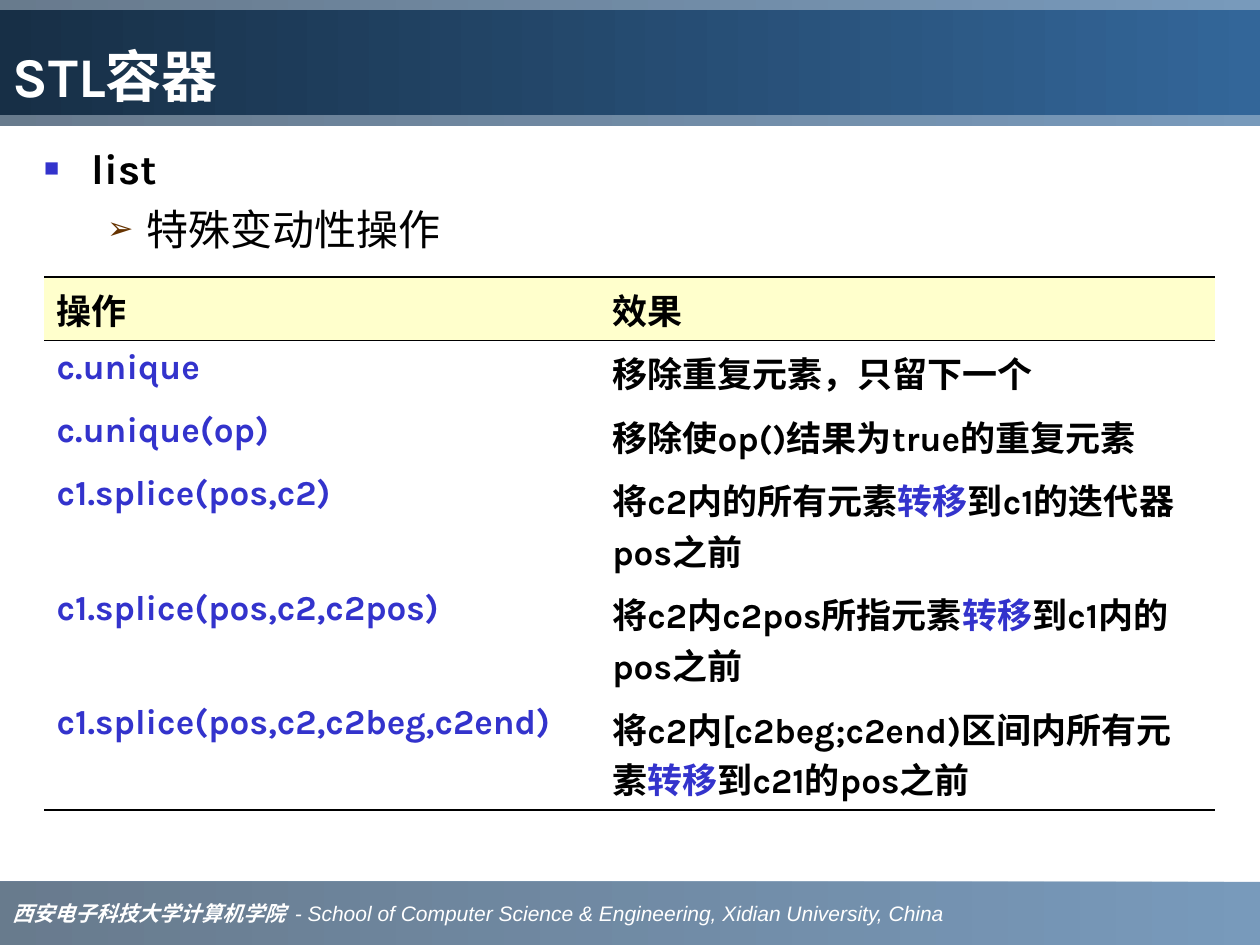
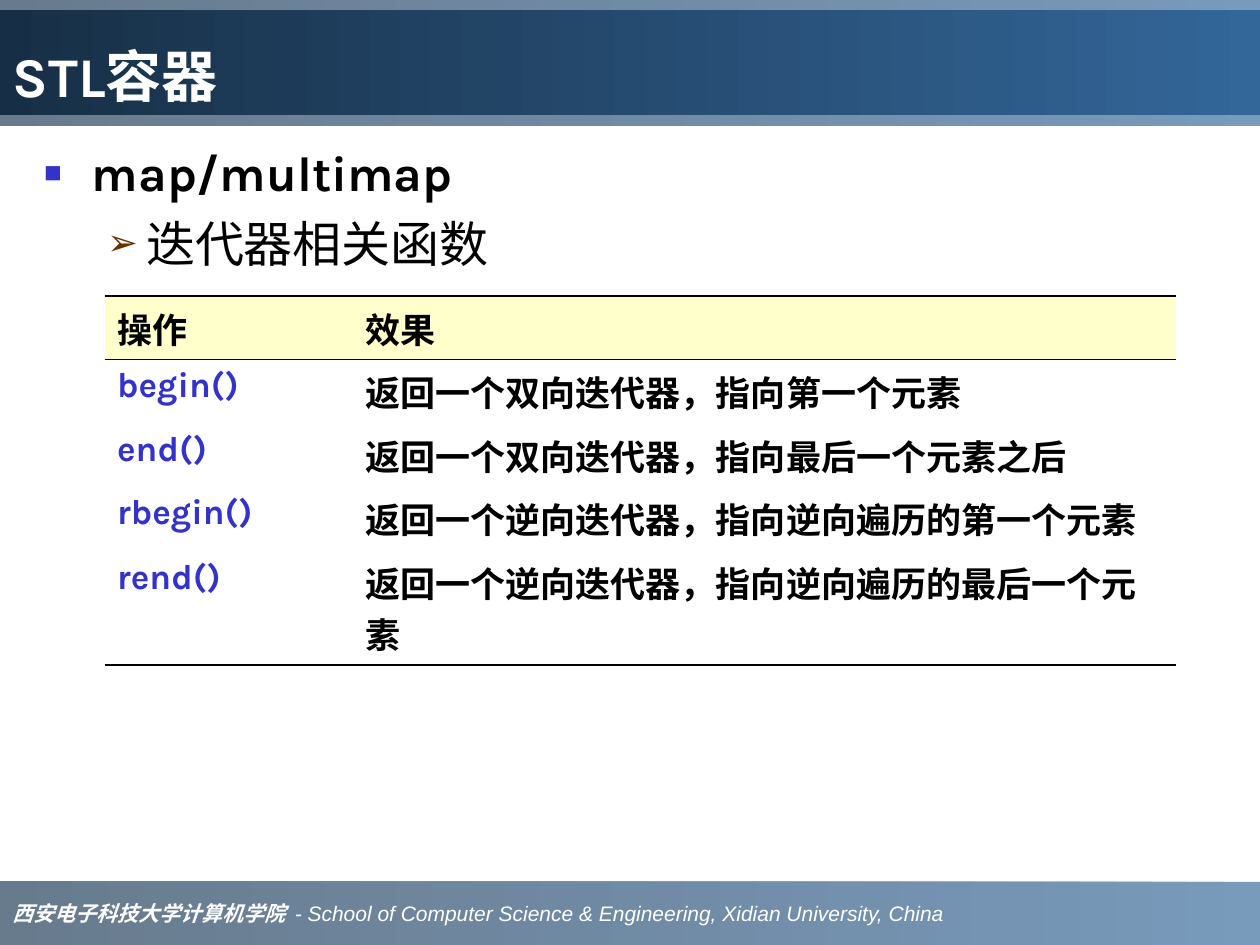
from lxml.etree import SubElement
from pptx import Presentation
from pptx.dml.color import RGBColor
from pptx.enum.shapes import MSO_SHAPE
from pptx.enum.text import MSO_ANCHOR, MSO_AUTO_SIZE, PP_ALIGN
from pptx.oxml.ns import qn
from pptx.util import Inches, Pt

WHITE = RGBColor(0xFF, 0xFF, 0xFF)
BLACK = RGBColor(0x00, 0x00, 0x00)
BLUE = RGBColor(0x33, 0x33, 0xCC)
BROWN = RGBColor(0x66, 0x33, 0x00)
CREAM = RGBColor(0xFF, 0xFF, 0xCC)
STEEL = RGBColor(0x33, 0x66, 0x99)
BAND_NAVY = RGBColor(0x1B, 0x37, 0x53)
TITLE_NAVY = RGBColor(0x17, 0x2F, 0x46)

TITLE_FONT = {"name": "Karla", "size": Pt(32), "bold": True}
CELL_FONT = {"name": "Karla", "size": Pt(20), "bold": True}
SCHOOL_FONT = {"name": "Times New Roman", "size": Pt(12), "bold": True, "italic": True}
ENGLISH_FONT = {"name": "Arial", "size": Pt(12), "bold": False, "italic": True}

TOP_BAND = (0, 0, 10, 1)
FOOTER_BAND = (0, 7, 10, 0.5)
TITLE_BOX = (0, 0.08, 10, 0.83)
BODY_BOX = (0.25, 1.08, 9.42, 5.83)
THICK, THIN = Pt(1.08), Pt(0.75)
KEYWORD = "转移"

BULLETS = (
    {"char": "■", "color": BLUE, "percent": 60, "left": 0.38, "hang": 0.38, "bold": True},
    {"char": "➢", "color": BROWN, "percent": 75, "left": 0.81, "hang": 0.31, "bold": False},
)

PAGES = (
    {
        "topics": ("list", "特殊变动性操作"),
        "size": 24,
        "spacing": 6,
        "corner": (0.35, 2.2),
        "columns": (4.41, 4.88),
        "heights": (0.35, 0.4, 0.44, 0.67, 0.67, 0.67),
        "rows": (
            ("操作", "效果"),
            ("c.unique", "移除重复元素，只留下一个"),
            ("c.unique(op)", "移除使op()结果为true的重复元素"),
            ("c1.splice(pos,c2)", "将c2内的所有元素转移到c1的迭代器pos之前"),
            ("c1.splice(pos,c2,c2pos)", "将c2内c2pos所指元素转移到c1内的pos之前"),
            ("c1.splice(pos,c2,c2beg,c2end)", "将c2内[c2beg;c2end)区间内所有元素转移到c21的pos之前"),
        ),
    },
    {
        "topics": ("map/multimap", "迭代器相关函数"),
        "size": 28,
        "spacing": 7,
        "corner": (0.83, 2.35),
        "columns": (1.97, 6.53),
        "heights": (0.4, 0.4, 0.44, 0.51, 0.44),
        "rows": (
            ("操作", "效果"),
            ("begin()", "返回一个双向迭代器，指向第一个元素"),
            ("end()", "返回一个双向迭代器，指向最后一个元素之后"),
            ("rbegin()", "返回一个逆向迭代器，指向逆向遍历的第一个元素"),
            ("rend()", "返回一个逆向迭代器，指向逆向遍历的最后一个元素"),
        ),
    },
)


def add_span(para, text, color, font):
    """Add a formatted run to a paragraph."""
    span = para.add_run()
    span.text = text
    span.font.color.rgb = color
    for name, value in font.items():
        setattr(span.font, name, value)


def place(shape, box):
    """Move a shape to a box given in inches."""
    for name, value in zip(("left", "top", "width", "height"), box):
        setattr(shape, name, Inches(value))


def fill_gradient(shape, right, left, opacity=100):
    """Fill a shape with a horizontal gradient, optionally translucent."""
    shape.fill.gradient()
    shape.fill.gradient_angle = 180
    for stop, position, color in zip(shape.fill.gradient_stops, (0, 1), (right, left)):
        stop.position = position
        stop.color.rgb = color
    if opacity < 100:
        for color in shape.element.spPr.iter(qn("a:srgbClr")):
            SubElement(color, qn("a:alpha"), val=str(opacity * 1000))


def add_band(page, box):
    """Add a translucent band and hand it to the layout of the page."""
    band = page.shapes.add_shape(MSO_SHAPE.RECTANGLE, *map(Inches, box))
    band.shadow.inherit = False
    band.line.fill.background()
    fill_gradient(band, STEEL, BAND_NAVY, 66)
    page.slide_layout.shapes.element.insert(2, band.element)
    return band


def add_shared_bands(page):
    """Give the layout of the page its top band and its footer."""
    add_band(page, TOP_BAND)
    frame = add_band(page, FOOTER_BAND).text_frame
    frame.vertical_anchor = MSO_ANCHOR.MIDDLE
    para = frame.paragraphs[0]
    para.alignment = PP_ALIGN.LEFT
    add_span(para, "西安电子科技大学计算机学院 ", WHITE, SCHOOL_FONT)
    add_span(para, " - School of Computer Science & Engineering, Xidian University, China", WHITE, ENGLISH_FONT)


def write_title(title, box):
    """Format the title placeholder as a dark gradient bar."""
    place(title, box)
    fill_gradient(title, STEEL, TITLE_NAVY)
    frame = title.text_frame
    frame.vertical_anchor = MSO_ANCHOR.BOTTOM
    frame.auto_size = MSO_AUTO_SIZE.NONE
    frame.paragraphs[0].alignment = PP_ALIGN.LEFT
    add_span(frame.paragraphs[0], "STL容器", WHITE, TITLE_FONT)


def set_bullet(para, bullet):
    """Give a paragraph its hanging bullet."""
    properties = para._p.get_or_add_pPr()
    properties.set("marL", str(Inches(bullet["left"])))
    properties.set("indent", str(-Inches(bullet["hang"])))
    color = SubElement(properties, qn("a:buClr"))
    SubElement(color, qn("a:srgbClr"), val=str(bullet["color"]))
    SubElement(properties, qn("a:buSzPct"), val=str(bullet["percent"] * 1000))
    SubElement(properties, qn("a:buFont"), typeface="Arial")
    SubElement(properties, qn("a:buChar"), char=bullet["char"])


def write_topics(body, box, content):
    """Write the topic and subtopic into the body placeholder."""
    place(body, box)
    frame = body.text_frame
    frame.auto_size = MSO_AUTO_SIZE.NONE
    for level, (text, bullet) in enumerate(zip(content["topics"], BULLETS)):
        para = frame.add_paragraph() if level else frame.paragraphs[0]
        para.level = level
        set_bullet(para, bullet)
        para.space_before = Pt(content["spacing"] * level)
        font = {"name": "Karla", "size": Pt(content["size"]), "bold": bullet["bold"]}
        add_span(para, text, BLACK, font)


def set_borders(cell, top, bottom):
    """Draw the top and bottom rules of a cell and hide its other sides."""
    properties = cell._tc.get_or_add_tcPr()
    for side, width in (("L", 0), ("R", 0), ("T", top), ("B", bottom)):
        line = SubElement(properties, qn(f"a:ln{side}"), w=str(int(width)))
        if width:
            fill = SubElement(line, qn("a:solidFill"))
            SubElement(fill, qn("a:srgbClr"), val=str(BLACK))
        else:
            SubElement(line, qn("a:noFill"))


def write_cell(cell, text, color):
    """Write cell text with the keyword in blue."""
    para = cell.text_frame.paragraphs[0]
    for part in filter(None, text.partition(KEYWORD)):
        add_span(para, part, BLUE if part == KEYWORD else color, CELL_FONT)


def add_operations(page, content):
    """Add the table of operations and their effects."""
    rows, columns, heights = content["rows"], content["columns"], content["heights"]
    box = (*content["corner"], sum(columns), sum(heights))
    table = page.shapes.add_table(len(rows), len(columns), *map(Inches, box)).table
    table.first_row = table.horz_banding = False
    for column, width in zip(table.columns, columns):
        column.width = Inches(width)
    rules = [THICK, THIN] + [0] * (len(rows) - 2) + [THICK]
    for index, (row, height) in enumerate(zip(table.rows, heights)):
        row.height = Inches(height)
        for number, cell in enumerate(row.cells):
            set_borders(cell, rules[index], rules[index + 1])
            if index:
                cell.fill.background()
            else:
                cell.fill.solid()
                cell.fill.fore_color.rgb = CREAM
            write_cell(cell, rows[index][number], BLUE if index and not number else BLACK)


def add_container_page(deck, content):
    """Add one page about a container."""
    page = deck.slides.add_slide(deck.slide_layouts[1])
    write_title(page.shapes.title, TITLE_BOX)
    write_topics(page.placeholders[1], BODY_BOX, content)
    add_operations(page, content)
    return page


def main():
    """Build and save the deck."""
    deck = Presentation()
    deck.slide_width, deck.slide_height = Inches(10), Inches(7.5)
    pages = [add_container_page(deck, content) for content in PAGES]
    add_shared_bands(pages[0])
    deck.save("out.pptx")


if __name__ == "__main__":
    main()
